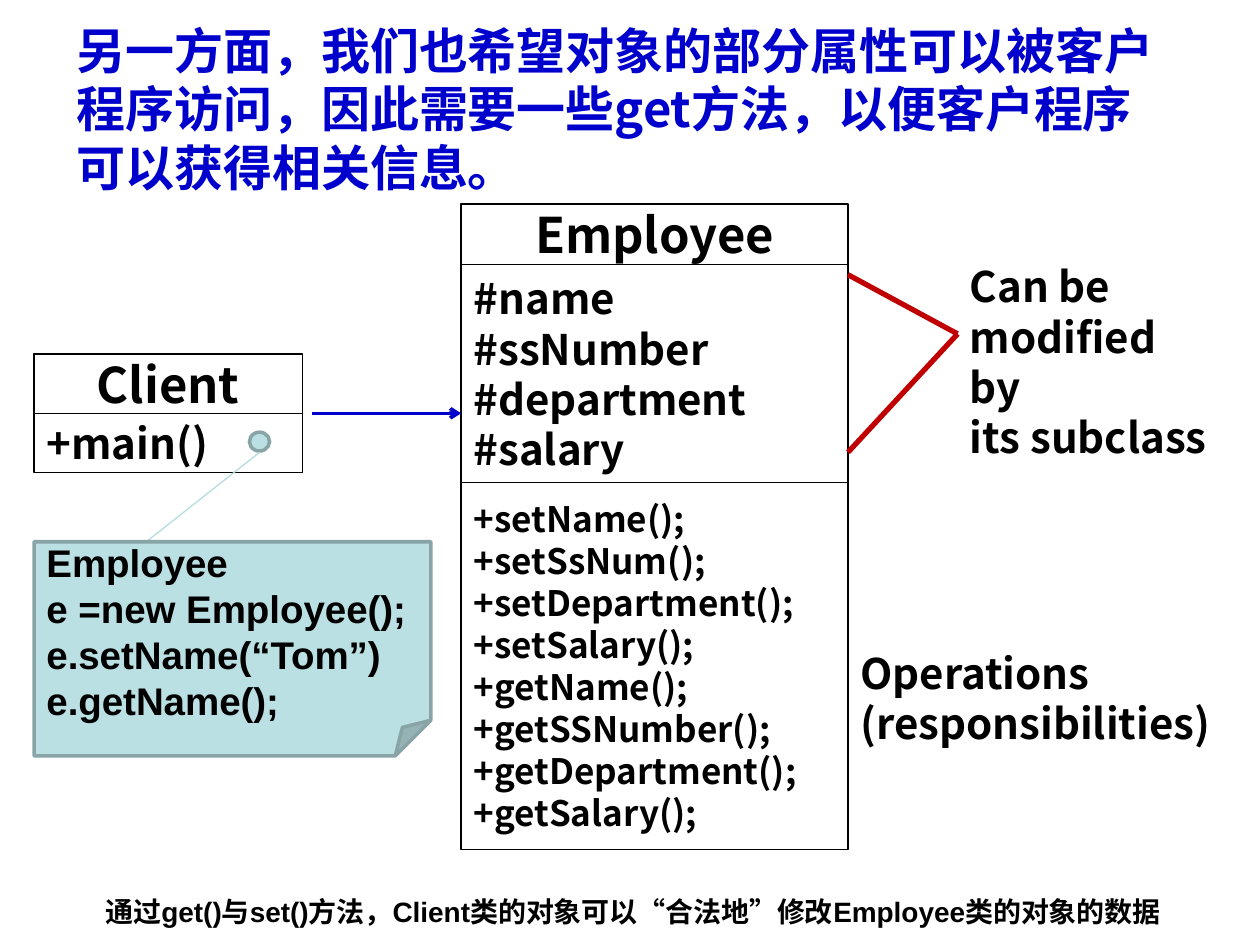
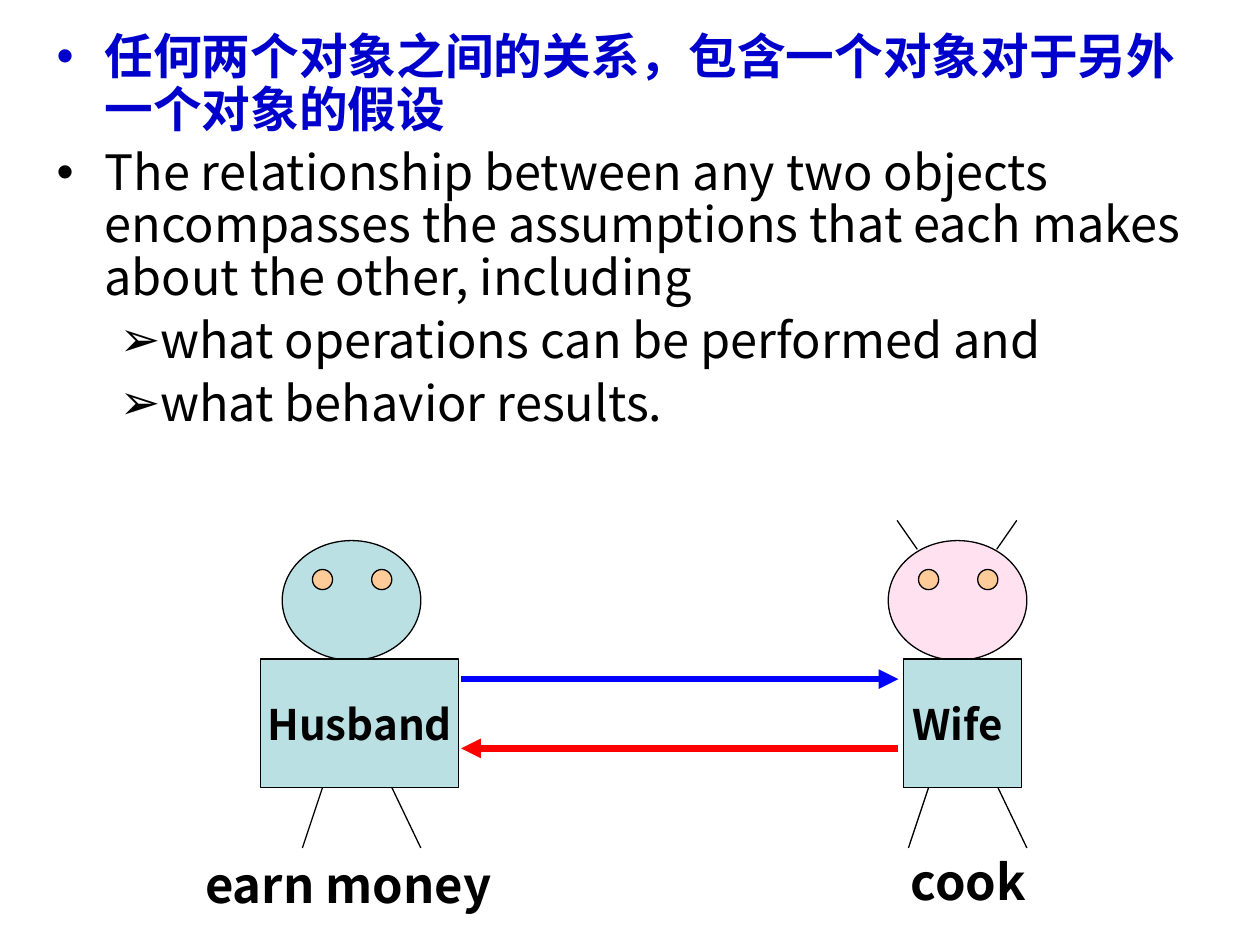
from lxml import etree
from pptx import Presentation
from pptx import util as u
from pptx.dml.color import RGBColor
from pptx.enum import shapes, text
from pptx.oxml import ns

HEX = {"ink": "000000", "paper": "FFFFFF", "title": "0000CC", "teal": "BBE0E3",
       "edge": "89A4A7", "pale": "B6DCDF", "mark": "C00000", "eye": "FFCC99",
       "pink": "FF99CC", "send": "0000FF", "reply": "FF0000"}
CJK, LATIN = "Noto Sans CJK SC", "Arial"
KIND = shapes.MSO_SHAPE
MID, CENTER = text.MSO_ANCHOR.MIDDLE, text.PP_ALIGN.CENTER
BOLD = {"name": CJK, "bold": True}

# Slide 1: left, top, width, then (height, size, alignment, lines) per row
CLASSES = [
    (3.66, 1.62, 3.07, [
        (0.48, 28, CENTER, ["Employee"]),
        (1.73, 24, None, ["#name", "#ssNumber", "#department", "#salary"]),
        (2.91, 20, None, ["+setName();", "+setSsNum();", "+setDepartment();",
                          "+setSalary();", "+getName();", "+getSSNumber();",
                          "+getDepartment();", "+getSalary();"])]),
    (0.27, 2.81, 2.13, [
        (0.47, 28, CENTER, ["Client"]),
        (0.47, 24, None, ["+main()"])]),
]
TITLE = "另一方面，我们也希望对象的部分属性可以被客户程序访问，因此需要一些get方法，以便客户程序可以获得相关信息。"
LABELS = [
    ((0.51, 0.11, 8.74, 1.5), [TITLE], 28, "title"),
    ((6.73, 5.09, 2.99, 0.9), ["Operations", "(responsibilities)"], 24, "ink"),
    ((7.6, 2.02, 2.13, 1.7), ["Can be modified by", "its subclass"], 24, "ink"),
]
CODE = ["Employee", "e =new Employee();", "e.setName(“Tom”)", "e.getName();"]
FOOT = "通过get()与set()方法，Client类的对象可以“合法地”修改Employee类的对象的数据"

# Slide 2: text, bullet, left margin, hanging indent, colour, bold
POINTS = [
    ("任何两个对象之间的关系，包含一个对象对于另外一个对象的假设",
     "•", 0.38, 0.38, "title", True),
    ("The relationship between any two objects encompasses the assumptions "
     "that each makes about the other, including", "•", 0.38, 0.38, "ink", False),
    ("what operations can be performed and", "➢", 0.81, 0.31, "ink", False),
    ("what behavior results.", "➢", 0.81, 0.31, "ink", False),
]
# name, head left, head colour, opacity, body left, body width, horns, task, task box
PEOPLE = [
    ("Husband", 2.24, "teal", 100, 2.07, 1.57, False, "earn money", (1.53, 6.73, 2.68, 0.57)),
    ("Wife ", 7.05, "pink", 29, 7.17, 0.94, True, "cook", (7.13, 6.71, 1.42, 0.57)),
]
HEAD_W, HEAD_H, HEAD_Y, BODY_Y, BODY_H = 1.1, 0.95, 4.29, 5.23, 1.02
EYES, EYE = (0.24, 0.71), 0.16
LEGS = [(0.32, 0.16), (0.87, 1.1)]
HORNS = [(0.07, 0.23), (1.02, 0.86)]


def rgb(key):
    return RGBColor.from_string(HEX[key])


def node(parent, tag, **vals):
    return etree.SubElement(parent, ns.qn("a:" + tag), vals)


def put(obj, vals):
    for key, val in vals.items():
        setattr(obj, key, val)


def style(run, size, hue, **more):
    put(run.font, {**BOLD, "size": u.Pt(size), **more})
    run.font.color.rgb = rgb(hue)
    node(run.font._element, "ea", typeface=CJK)


def write(shape, lines, size, hue="ink", align=None, wrap=True, anchor=None, **more):
    frame = shape.text_frame
    put(frame, {"word_wrap": wrap, "vertical_anchor": anchor})
    for i, line in enumerate(lines):
        par = frame.paragraphs[0] if i == 0 else frame.add_paragraph()
        par.alignment = align or text.PP_ALIGN.LEFT
        run = par.add_run()
        run.text = line
        style(run, size, hue, **more)
    return frame


def label(slide, box, lines, size, hue="ink", **more):
    shape = slide.shapes.add_textbox(*map(u.Inches, box))
    return write(shape, lines, size, hue, **more)


def draw(slide, kind, box, fill="paper", edge="ink", width=0.75):
    shape = slide.shapes.add_shape(kind, *map(u.Inches, box))
    shape.shadow.inherit = False
    shape.fill.solid()
    shape.fill.fore_color.rgb = rgb(fill)
    shape.line.color.rgb = rgb(edge)
    shape.line.width = u.Pt(width)
    return shape


def line(slide, start, end, hue="ink", width=0.75, tip=None):
    link = slide.shapes.add_connector(
        shapes.MSO_CONNECTOR.STRAIGHT, *map(u.Inches, start + end))
    link.line.color.rgb = rgb(hue)
    link.line.width = u.Pt(width)
    if tip:
        node(link.line._get_or_add_ln(), "tailEnd", type=tip)
    node(link._element.spPr, "effectLst")


def stack(slide, x, y, w, rows):
    """Draw a class box as rows that touch."""
    for h, size, align, lines in rows:
        shape = draw(slide, KIND.RECTANGLE, (x, y, w, h))
        write(shape, lines, size, align=align, wrap=False, anchor=MID)
        y += h


def person(slide, name, x, hue, alpha, left, width, horns, task, box):
    head = draw(slide, KIND.OVAL, (x, HEAD_Y, HEAD_W, HEAD_H), hue)
    if alpha < 100:
        tint = head._element.spPr.find(".//" + ns.qn("a:srgbClr"))
        node(tint, "alpha", val=str(alpha * 1000))
    body = draw(slide, KIND.RECTANGLE, (left, BODY_Y, width, BODY_H), "teal")
    write(body, [name], 24, align=CENTER, wrap=False, anchor=MID)
    for dx in EYES:
        draw(slide, KIND.OVAL, (x + dx, HEAD_Y + 0.23, EYE, EYE), "eye")
    hip = BODY_Y + BODY_H
    for top, foot in LEGS:
        line(slide, (x + top, hip), (x + foot, hip + 0.48))
    for tip, root in HORNS if horns else []:
        line(slide, (x + tip, HEAD_Y - 0.16), (x + root, HEAD_Y + 0.07))
    label(slide, box, [task], 28)


def bullet(par, mark, margin, hang, hue):
    props = par._p.get_or_add_pPr()
    props.set("marL", str(u.Inches(margin)))
    props.set("indent", str(-u.Inches(hang)))
    node(node(props, "buClr"), "srgbClr", val=HEX[hue])
    node(props, "buFont", typeface=LATIN)
    node(props, "buChar", char=mark)


def access(slide):
    foot = label(slide, (0.32, 7.1, 9.41, 0.43), [FOOT], 16, align=CENTER, name=LATIN)
    put(foot, {"margin_left": 0, "margin_right": 0})
    foot.paragraphs[0].line_spacing = 0.8
    for spec in CLASSES:
        stack(slide, *spec)
    for spec in LABELS:
        label(slide, *spec)
    for y in (2.18, 3.59):
        line(slide, (6.73, y), (7.6, 2.65), "mark", 3)
    line(slide, (2.48, 3.28), (3.66, 3.28), "title", 2, "arrow")
    draw(slide, KIND.OVAL, (1.98, 3.43, 0.16, 0.15), "teal", "edge", 2)
    line(slide, (2.06, 3.59), (1.06, 4.38), "pale")
    note = draw(slide, KIND.FOLDED_CORNER, (0.27, 4.3, 3.15, 1.7), "teal", "edge", 2)
    write(note, CODE, 22, anchor=MID, name=LATIN)


def relation(slide):
    frame = label(slide, (0.35, 0.21, 9.45, 3.82), [], 27.8)
    for i, (words, mark, margin, hang, hue, bold) in enumerate(POINTS):
        par = frame.add_paragraph() if i else frame.paragraphs[0]
        bullet(par, mark, margin, hang, hue)
        put(par, {"line_spacing": 0.9, "space_before": u.Pt(6 if i else 0)})
        run = par.add_run()
        run.text = words
        style(run, 27.8, hue, bold=bold)
    for spec in PEOPLE:
        person(slide, *spec)
    line(slide, (7.13, 5.94), (3.66, 5.94), "reply", 3.75, "triangle")
    line(slide, (3.66, 5.39), (7.13, 5.39), "send", 3.75, "triangle")


def main():
    deck = Presentation()
    put(deck, {"slide_width": u.Inches(10), "slide_height": u.Inches(7.5)})
    for build in (access, relation):
        build(deck.slides.add_slide(deck.slide_layouts[6]))
    deck.save("out.pptx")


if __name__ == "__main__":
    main()
